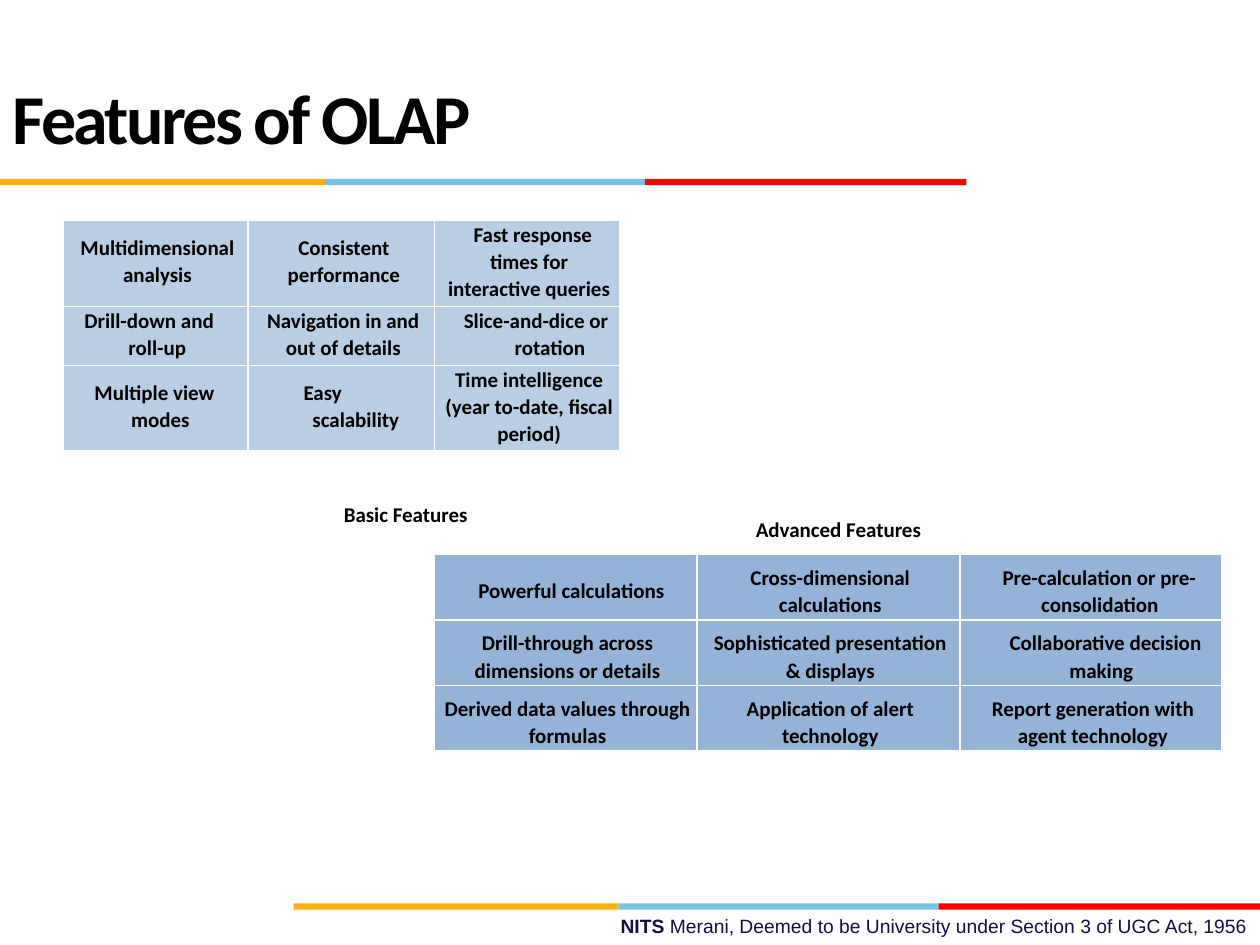
import pptx
import pptx.util
import pptx.dml.color
import pptx.enum.shapes
import pptx.enum.text
import pptx.oxml
import pptx.oxml.ns
from dataclasses import dataclass
from pptx.util import Inches

ALIGN = pptx.enum.text.PP_ALIGN
MIDDLE = pptx.enum.text.MSO_ANCHOR.MIDDLE


@dataclass(frozen=True)
class Theme:
    gold: str = "FCB017"
    sky: str = "76C2E5"
    red: str = "FF0000"
    black: str = "000000"
    white: str = "FFFFFF"
    navy: str = "101141"
    basic_fill: str = "B9CDE5"
    advanced_fill: str = "95B3D7"
    body_font: str = "Calibri"
    footer_font: str = "Arial"
    title_size: int = 40
    body_size: int = 12
    footer_size: int = 11


THEME = Theme()

# Cell entries: text, left margin, first-line indent, alignment
BASIC = [
    [("Multidimensional analysis", 0, 0, ALIGN.CENTER),
     ("Consistent performance", 0.01, 0, ALIGN.CENTER),
     ("Fast response times for interactive queries", 0, 0.06, ALIGN.CENTER)],
    [("Drill-down and roll-up", 0.46, -0.35, ALIGN.LEFT),
     ("Navigation in and out of details", 0, 0, ALIGN.CENTER),
     ("Slice-and-dice or rotation", 0.33, -0.22, ALIGN.CENTER)],
    [("Multiple view modes", 0.48, -0.29, ALIGN.LEFT),
     ("Easy scalability", 0.45, -0.07, ALIGN.LEFT),
     ("Time intelligence (year to-date, fiscal period)", 0, 0, ALIGN.CENTER)],
]
ADVANCED = [
    [("Powerful calculations", 0.06, 0, ALIGN.CENTER),
     ("Cross-dimensional calculations", 0, 0, ALIGN.CENTER),
     ("Pre-calculation or pre-consolidation", 0.11, -0.01, ALIGN.CENTER)],
    [("Drill-through across dimensions or details", 0, 0, ALIGN.CENTER),
     ("Sophisticated presentation & displays", 0, 0, ALIGN.CENTER),
     ("Collaborative decision making", 0.13, 0.07, ALIGN.CENTER)],
    [("Derived data values through formulas", 0, 0, ALIGN.CENTER),
     ("Application of alert technology", 0, 0, ALIGN.CENTER),
     ("Report generation with agent technology", 0, 0, ALIGN.CENTER)],
]


def rgb(value):
    return pptx.dml.color.RGBColor.from_string(value)


def style_span(span, size, font=THEME.body_font, color=THEME.black, bold=True):
    span.font.size = pptx.util.Pt(size)
    span.font.name = font
    span.font.bold = bold
    span.font.color.rgb = rgb(color)


def add_stripe(page, left, top):
    """Three-colour rule, as one group."""
    group = page.shapes.add_group_shape()
    for color, width in ((THEME.gold, 2.58), (THEME.sky, 2.54), (THEME.red, 2.55)):
        bar = group.shapes.add_shape(
            pptx.enum.shapes.MSO_SHAPE.RECTANGLE,
            Inches(left), Inches(top), Inches(width), Inches(0.05))
        bar.shadow.inherit = False
        bar.fill.solid()
        bar.fill.fore_color.rgb = rgb(color)
        bar.line.fill.background()
        left += width


def set_title(page, text):
    title = page.shapes.title
    title.left, title.top = Inches(0), Inches(0.3)
    title.width, title.height = Inches(9), Inches(1.25)
    frame = title.text_frame
    frame.text = text
    frame.vertical_anchor = MIDDLE
    para = frame.paragraphs[0]
    para.alignment = ALIGN.LEFT
    span = para.runs[0]
    style_span(span, THEME.title_size)
    span._r.get_or_add_rPr().set("spc", "-150")


def add_text(page, left, top, width, height, wrap):
    box = page.shapes.add_textbox(Inches(left), Inches(top), Inches(width), Inches(height))
    frame = box.text_frame
    frame.word_wrap = wrap
    frame.auto_size = pptx.enum.text.MSO_AUTO_SIZE.SHAPE_TO_FIT_TEXT
    return frame


def add_label(page, text, left, top, width):
    frame = add_text(page, left, top, width, 0.3, False)
    frame.text = text
    frame.vertical_anchor = MIDDLE
    style_span(frame.paragraphs[0].runs[0], THEME.body_size)


def add_footer(page):
    para = add_text(page, 3.58, 7.21, 6.42, 0.29, True).paragraphs[0]
    para.alignment = ALIGN.RIGHT
    parts = (("NITS ", True),
             ("Merani, Deemed to be University under Section 3 of UGC Act, 1956", False))
    for text, bold in parts:
        span = para.add_run()
        span.text = text
        style_span(span, THEME.footer_size, THEME.footer_font, THEME.navy, bold)


def set_borders(cell):
    properties = cell._tc.get_or_add_tcPr()
    for position, side in enumerate("LRTB"):
        properties.insert(position, pptx.oxml.parse_xml(
            f'<a:ln{side} {pptx.oxml.ns.nsdecls("a")} w="12700"><a:solidFill>'
            f'<a:srgbClr val="{THEME.white}"/></a:solidFill></a:ln{side}>'))


def fill_cell(cell, entry, fill, top_inset, bottom_inset):
    text, margin, indent, alignment = entry
    cell.fill.solid()
    cell.fill.fore_color.rgb = rgb(fill)
    set_borders(cell)
    cell.vertical_anchor = MIDDLE
    cell.margin_left, cell.margin_right = Inches(0.06), Inches(0.03)
    cell.margin_top, cell.margin_bottom = Inches(top_inset), Inches(bottom_inset)
    cell.text_frame.text = text
    para = cell.text_frame.paragraphs[0]
    para.alignment = alignment
    para.line_spacing = 1.07
    properties = para._p.get_or_add_pPr()
    properties.set("marL", str(Inches(margin)))
    properties.set("indent", str(Inches(indent)))
    style_span(para.runs[0], THEME.body_size)


def add_features(page, entries, left, top, widths, heights, fill, insets):
    table = page.shapes.add_table(
        len(heights), len(widths), Inches(left), Inches(top),
        Inches(sum(widths)), Inches(sum(heights))).table
    for column, width in zip(table.columns, widths):
        column.width = Inches(width)
    for row, height, row_entries in zip(table.rows, heights, entries):
        row.height = Inches(height)
        for cell, entry in zip(row.cells, row_entries):
            fill_cell(cell, entry, fill, *insets)


def main():
    deck = pptx.Presentation()
    deck.slide_width, deck.slide_height = Inches(10), Inches(7.5)
    page = deck.slides.add_slide(deck.slide_layouts[5])

    # Frame of the page
    add_stripe(page, 0, 1.42)
    add_stripe(page, 2.33, 7.17)
    add_footer(page)
    set_title(page, "Features of OLAP")

    # Basic features
    add_features(page, BASIC, 0.5, 1.75, (1.47, 1.48, 1.47), (0.46, 0.46, 0.58),
                 THEME.basic_fill, (0, 0.04))
    add_label(page, "Basic Features", 2.63, 3.93, 1.19)

    # Advanced features
    add_features(page, ADVANCED, 3.45, 4.4, (2.08, 2.09, 2.08), (0.52,) * 3,
                 THEME.advanced_fill, (0.06, 0))
    add_label(page, "Advanced Features", 5.9, 4.05, 1.53)

    deck.save("out.pptx")


main()
